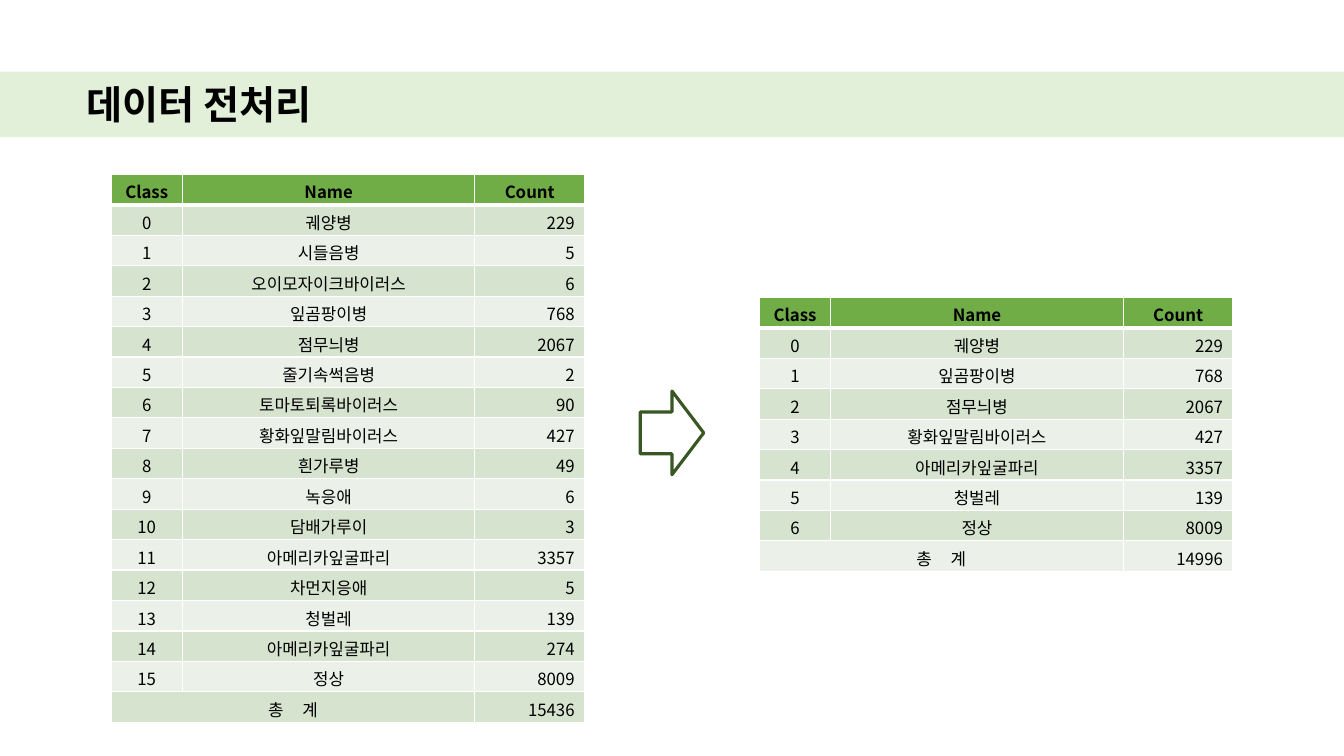
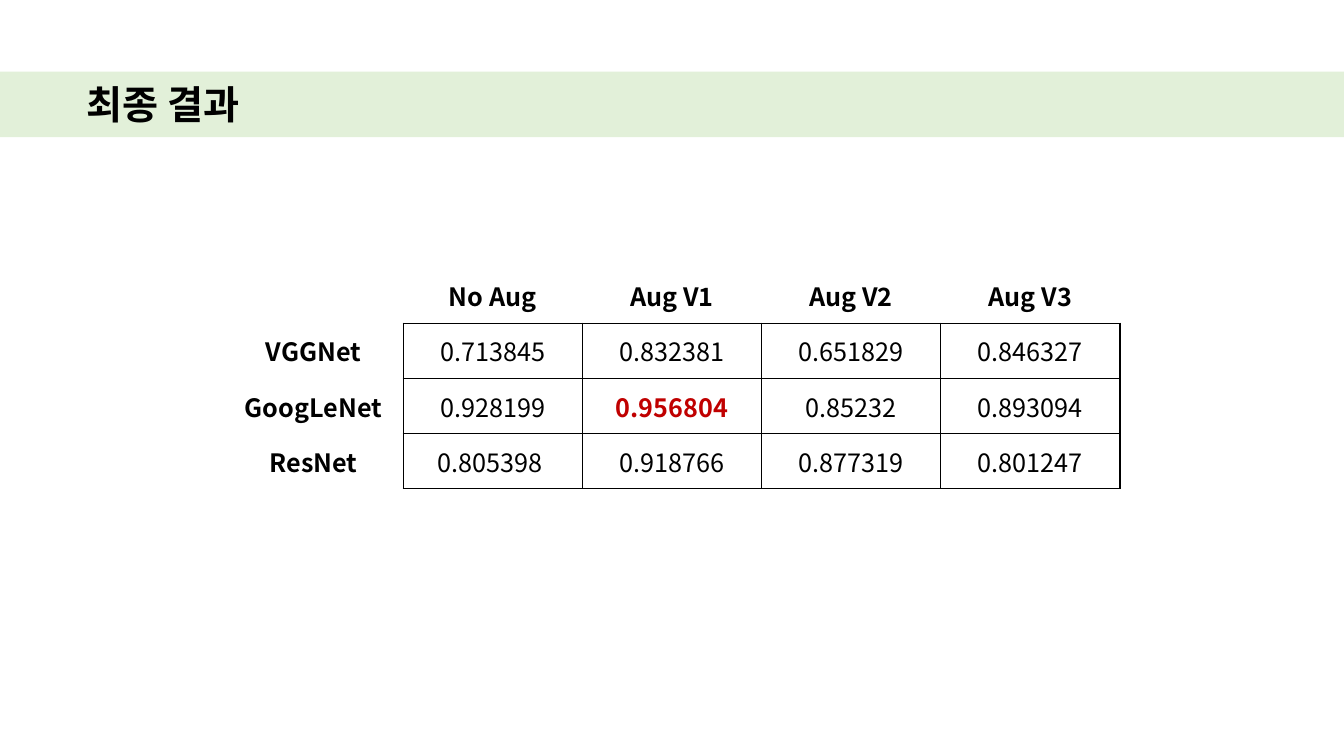
from lxml import etree
from pptx import Presentation
from pptx.dml.color import RGBColor
from pptx.enum.shapes import MSO_SHAPE
from pptx.enum.text import MSO_ANCHOR, MSO_AUTO_SIZE, PP_ALIGN
from pptx.oxml.ns import qn
from pptx.util import Inches, Pt

RECT, ARROW = MSO_SHAPE.RECTANGLE, MSO_SHAPE.RIGHT_ARROW
LEFT, MID, RIGHT = PP_ALIGN.LEFT, PP_ALIGN.CENTER, PP_ALIGN.RIGHT
TOP, CENTER = MSO_ANCHOR.TOP, MSO_ANCHOR.MIDDLE
NO_FIT = MSO_AUTO_SIZE.NONE

WIDE, HIGH = 13.33, 7.5
FONT = "Noto Sans CJK KR"
BLACK, WHITE, RED = "000000", "FFFFFF", "C00000"
PALE, GREEN, DARK = "E2F0D9", "70AD47", "385723"
BANDS = "D5E3CF", "EBF1E9"
BAND_TOP, BAND_H = 0.71, 0.65
ROW_H = 0.3
COLS = 0.71, 2.9, 1.09
SPREAD = 1070

CLASSES = [
    ("궤양병", 229), ("시들음병", 5), ("오이모자이크바이러스", 6),
    ("잎곰팡이병", 768), ("점무늬병", 2067), ("줄기속썩음병", 2),
    ("토마토퇴록바이러스", 90), ("황화잎말림바이러스", 427),
    ("흰가루병", 49), ("녹응애", 6), ("담배가루이", 3),
    ("아메리카잎굴파리", 3357), ("차먼지응애", 5), ("청벌레", 139),
    ("아메리카잎굴파리", 274), ("정상", 8009),
]
KEPT = [CLASSES[n] for n in (0, 3, 4, 7, 11, 13, 15)]

SCORES = [
    ("", "No Aug", "Aug V1", "Aug V2", "Aug V3"),
    ("VGGNet", "0.713845", "0.832381", "0.651829", "0.846327"),
    ("GoogLeNet", "0.928199", "0.956804", "0.85232", "0.893094"),
    ("ResNet", "0.805398 ", "0.918766", "0.877319", "0.801247"),
]
BEST = "0.956804"


def color(code):
    return RGBColor.from_string(code)


def style(para, size, bold=False, tint=BLACK, align=MID):
    para.alignment = align
    font = para.font
    font.size, font.bold, font.name = Pt(size), bold, FONT
    font.color.rgb = color(tint)
    base = para._p.pPr.find(qn("a:defRPr"))
    etree.SubElement(base, qn("a:ea"), typeface=FONT)


def edge(cell, **sides):
    props = cell._tc.get_or_add_tcPr()
    for side in "LRTB":
        tint, width = sides[side]
        line = etree.SubElement(props, qn(f"a:ln{side}"), w=str(Pt(width)))
        fill = etree.SubElement(line, qn("a:solidFill"))
        etree.SubElement(fill, qn("a:srgbClr"), val=tint)


def draw(slide, kind, box, fill=None, line=None):
    shape = slide.shapes.add_shape(kind, *map(Inches, box))
    shape.shadow.inherit = False
    if fill:
        shape.fill.solid()
        shape.fill.fore_color.rgb = color(fill)
    else:
        shape.fill.background()
    if line:
        shape.line.color.rgb = color(line)
        shape.line.width = Pt(2.25)
    else:
        shape.line.fill.background()
    return shape


def start(deck, text):
    slide = deck.slides.add_slide(deck.slide_layouts[5])
    title = slide.shapes.title
    band = draw(slide, RECT, (0, BAND_TOP, WIDE, BAND_H), PALE)
    title.element.addprevious(band.element)
    title.left, title.top = Inches(0.76), Inches(BAND_TOP)
    title.width, title.height = Inches(WIDE - 2 * 0.76), Inches(BAND_H)
    frame = title.text_frame
    frame.text = text
    frame.word_wrap, frame.auto_size = True, NO_FIT
    frame.vertical_anchor = CENTER
    frame.margin_top = frame.margin_bottom = 0
    style(frame.paragraphs[0], 28, True, align=LEFT)
    return slide


def grid(slide, left, top, widths, height, count):
    box = map(Inches, (left, top, sum(widths), height * count))
    table = slide.shapes.add_table(count, len(widths), *box).table
    table.horz_banding = table.first_row = False
    for col, width in zip(table.columns, widths):
        col.width = Inches(width)
    for row in table.rows:
        row.height = Inches(height)
    return table


def spread(para):
    para.clear()
    for part in "총 계":
        run = para.add_run()
        run.text = part
        if part == " ":
            run._r.get_or_add_rPr().set("spc", str(SPREAD))


def counts(slide, left, top, items):
    total = sum(count for _, count in items)
    rows = [("Class", "Name", "Count")]
    rows += [(n, *item) for n, item in enumerate(items)]
    rows.append(("총 계", "", total))
    table = grid(slide, left, top, COLS, ROW_H, len(rows))
    last = len(rows) - 1
    for r, row in enumerate(rows):
        for c, value in enumerate(row):
            cell = table.cell(r, c)
            thin, thick = (WHITE, 1), (WHITE, 3)
            edge(cell, L=thin, R=thin, T=thick if r == 1 else thin,
                 B=thin if r else thick)
            cell.fill.solid()
            cell.fill.fore_color.rgb = color(BANDS[(r - 1) % 2] if r else GREEN)
            cell.margin_top, cell.margin_bottom = Inches(0.05), Inches(0.01)
            cell.vertical_anchor = TOP
            cell.text = str(value)
            style(cell.text_frame.paragraphs[0], 12, r == 0,
                  align=RIGHT if r and c == 2 else MID)
    table.cell(last, 0).merge(table.cell(last, 1))
    spread(table.cell(last, 0).text_frame.paragraphs[0])


def scores(slide, left, top, width, height):
    rows, cols = len(SCORES), len(SCORES[0])
    table = grid(slide, left, top, [width / cols] * cols, height / rows, rows)
    for r, row in enumerate(SCORES):
        for c, value in enumerate(row):
            cell = table.cell(r, c)
            ink = {True: (BLACK, 1), False: (WHITE, 1)}
            body = r > 0 and c > 0
            edge(cell, L=ink[body], T=ink[body],
                 R=ink[r > 0], B=ink[c > 0])
            cell.fill.background()
            cell.vertical_anchor = CENTER
            cell.text = value
            best = value == BEST
            style(cell.text_frame.paragraphs[0], 18, best or not body,
                  RED if best else BLACK)


def main():
    deck = Presentation()
    deck.slide_width, deck.slide_height = Inches(WIDE), Inches(HIGH)

    slide = start(deck, "데이터 전처리")
    draw(slide, ARROW, (6.35, 3.88, 0.63, 0.83), line=DARK)
    counts(slide, 1.1, 1.73, CLASSES)
    counts(slide, WIDE - 1.1 - sum(COLS), 2.95, KEPT)

    slide = start(deck, "최종 결과")
    width = WIDE * 2 / 3
    scores(slide, (WIDE - width) / 2, 2.66, width, 2.19)

    deck.save("out.pptx")


if __name__ == "__main__":
    main()
